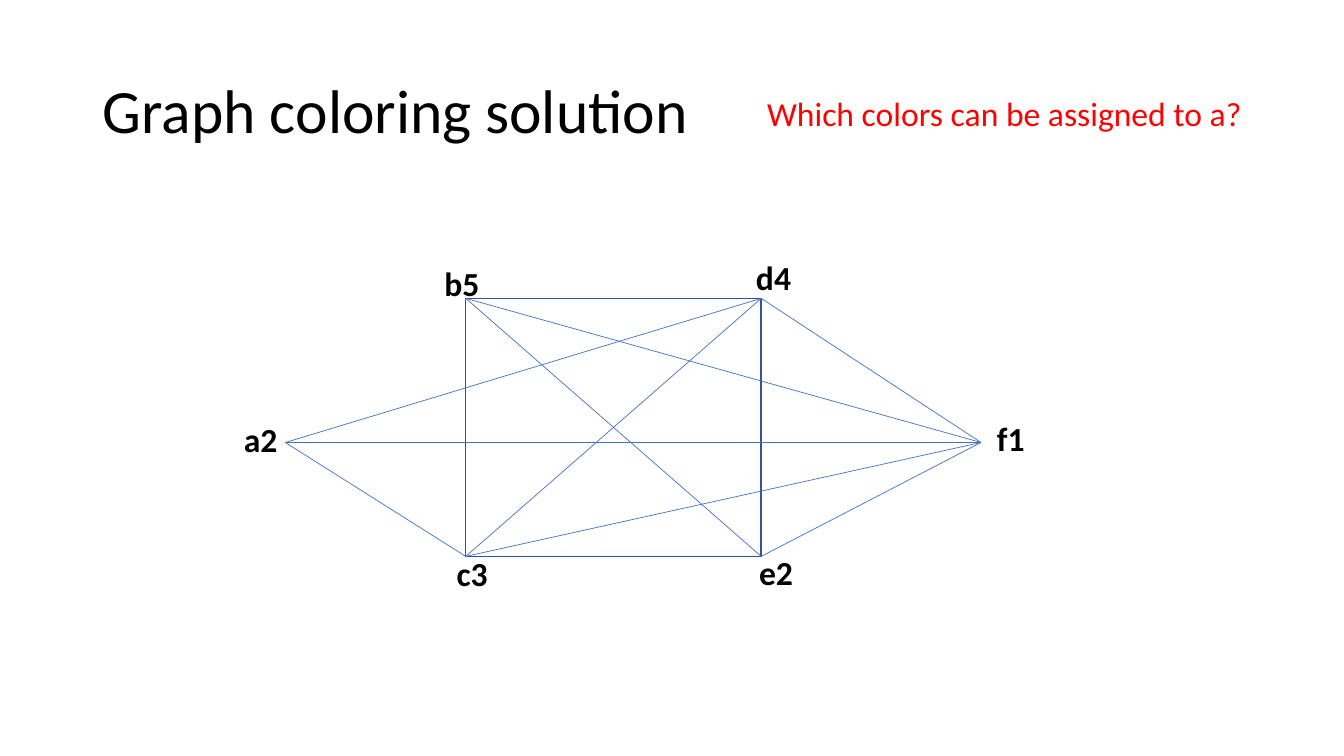
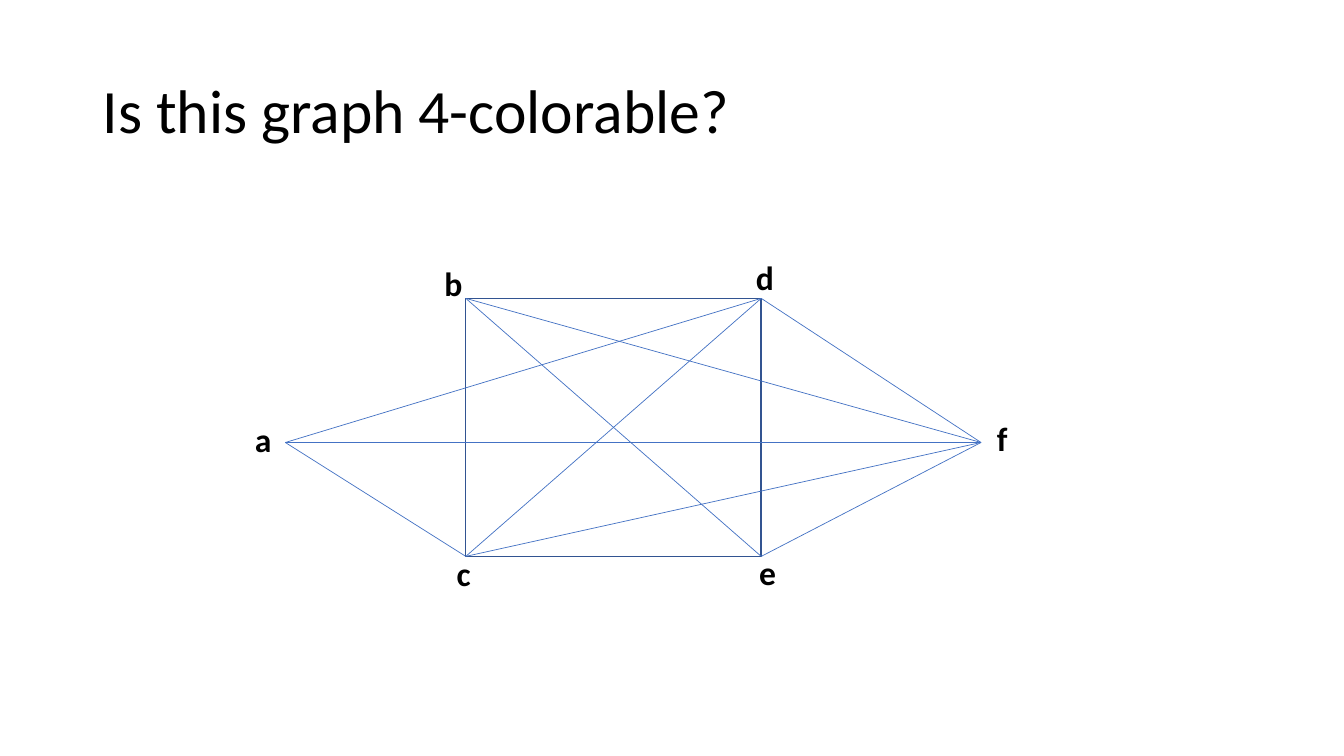
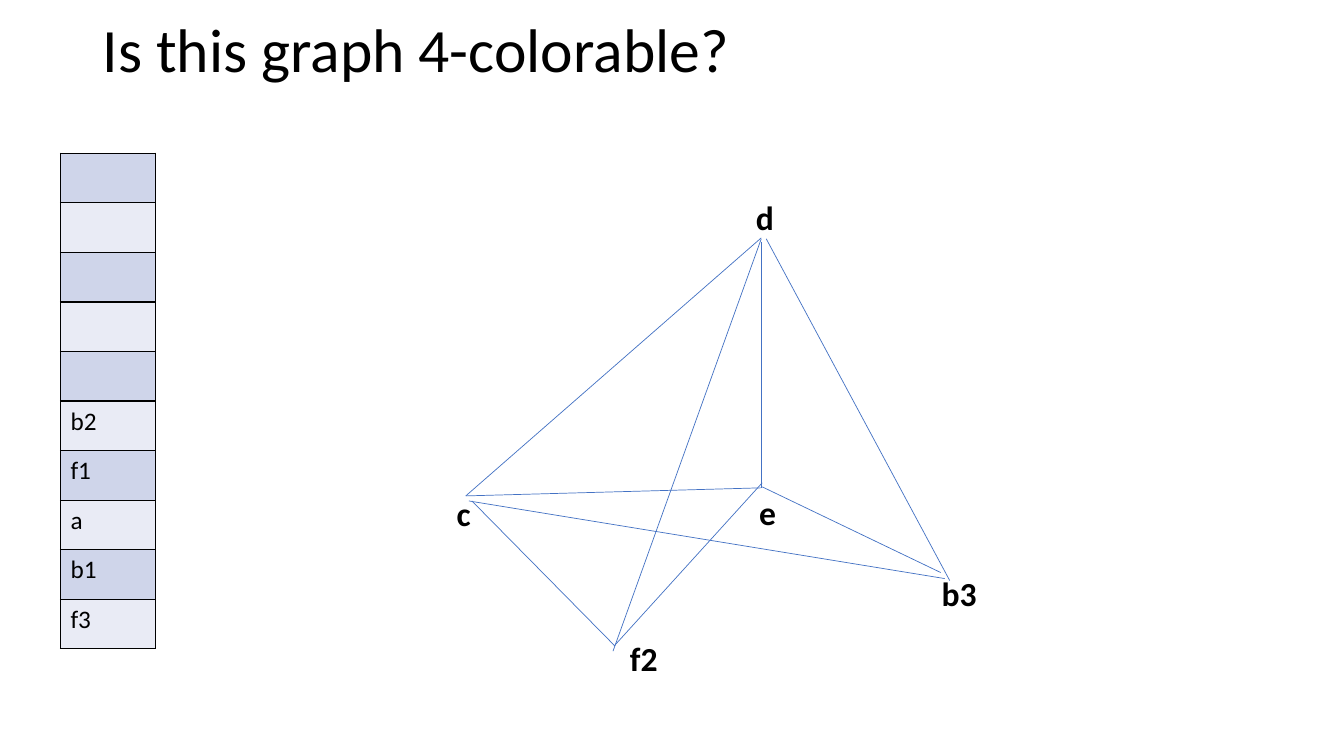
import pptx
import pptx.util
import pptx.dml.color
import pptx.enum.shapes
import pptx.enum.text
import pptx.oxml
import pptx.oxml.ns
from pptx.util import Inches

RGBColor = pptx.dml.color.RGBColor
BLACK = RGBColor(0x00, 0x00, 0x00)
RED = RGBColor(0xFF, 0x00, 0x00)
BLUE = RGBColor(0x44, 0x72, 0xC4)
NAVY = RGBColor(0x32, 0x54, 0x91)
BANDS = [RGBColor(0xCF, 0xD5, 0xEA), RGBColor(0xE9, 0xEB, 0xF5)]
FONT = "Calibri"
SPACE = pptx.oxml.ns.nsdecls("a")


def write(frame, text, size=24, bold=False, color=BLACK, space=1.0):
    para = frame.paragraphs[0]
    para.alignment = pptx.enum.text.PP_ALIGN.LEFT
    para.line_spacing = space
    run = para.add_run()
    run.text = text
    run.font.name = FONT
    run.font.size = pptx.util.Pt(size)
    run.font.bold = bold
    run.font.color.rgb = color


def label(slide, text, left, top, width=0.87, **style):
    box = slide.shapes.add_textbox(Inches(left), Inches(top), Inches(width), Inches(0.5))
    box.text_frame.word_wrap = True
    box.text_frame.auto_size = pptx.enum.text.MSO_AUTO_SIZE.SHAPE_TO_FIT_TEXT
    write(box.text_frame, text, **style)


deck = pptx.Presentation()
deck.slide_width = Inches(13.33)
deck.slide_height = Inches(7.5)

A, B, C = (2.83, 4.39), (4.62, 2.96), (4.62, 5.52)
D, E, F = (7.55, 2.96), (7.55, 5.52), (9.73, 4.39)
graph = [(D, F), (E, F), (C, F), (C, D), (B, E), (B, F), (A, D), (A, C), (A, F)]
rest = [
    ((4.62, 4.92), (7.55, 2.36)),
    ((7.55, 2.4), (7.55, 4.84)),
    ((4.62, 4.92), (7.55, 4.84)),
    ((7.56, 4.83), (9.33, 5.68)),
    ((4.65, 4.97), (9.37, 5.74)),
    ((7.6, 2.37), (9.42, 5.76)),
    ((7.55, 2.37), (6.08, 6.46)),
    ((4.68, 4.97), (6.1, 6.41)),
    ((7.56, 4.79), (6.09, 6.41)),
]
spots = [(4.31, 2.56), (7.4, 2.5), (9.79, 4.1), (7.43, 5.43), (4.43, 5.44)]
full = [(2.32, 4.11)] + spots
bare = [(2.43, 4.11)] + spots
last = [(7.4, 1.9), (7.43, 4.83), (4.43, 4.84), (9.24, 5.63), (6.15, 6.28)]

pages = [
    ("Graph coloring solution", 0.4, graph, "a2 b5 d4 f1 e2 c3", full),
    ("Is this graph 4-colorable?", 0.4, graph, "a b d f e c", bare),
    ("Is this graph 4-colorable?", -0.2, rest, "d e c b3 f2", last),
]

for head, top, edges, names, places in pages:
    slide = deck.slides.add_slide(deck.slide_layouts[5])
    title = slide.shapes.title
    title.left, title.top = Inches(0.92), Inches(top)
    title.width, title.height = Inches(11.5), Inches(1.45)
    title.text_frame.vertical_anchor = pptx.enum.text.MSO_ANCHOR.MIDDLE
    write(title.text_frame, head, size=44, space=0.9)

    if edges is graph:
        frame = slide.shapes.add_shape(
            pptx.enum.shapes.MSO_SHAPE.RECTANGLE,
            Inches(B[0]), Inches(B[1]), Inches(E[0] - B[0]), Inches(E[1] - B[1]))
        frame.shadow.inherit = False
        frame.fill.background()
        frame.line.color.rgb = NAVY
        frame.line.width = pptx.util.Pt(1)

    for start, end in edges:
        edge = slide.shapes.add_connector(
            pptx.enum.shapes.MSO_CONNECTOR.STRAIGHT,
            *(Inches(value) for value in start + end))
        edge.line.color.rgb = BLUE
        edge.line.width = pptx.util.Pt(0.5)
        edge._element.spPr.append(pptx.oxml.parse_xml(f"<a:effectLst {SPACE}/>"))

    for name, (left, high) in zip(names.split(), places):
        label(slide, name, left, high, bold=True)

label(deck.slides[0], "Which colors can be assigned to a?", 7.51, 0.87, width=5.3, color=RED)

stack = [""] * 5 + ["b2", "f1", "a", "b1", "f3"]
table = deck.slides[2].shapes.add_table(
    len(stack), 1, Inches(0.6), Inches(1.52), Inches(0.94), Inches(4.92)).table
table.first_row = False
table.horz_banding = False
for row, text in enumerate(stack):
    cell = table.cell(row, 0)
    props = cell._tc.get_or_add_tcPr()
    for side in "LRTB":
        props.append(pptx.oxml.parse_xml(
            f'<a:ln{side} {SPACE} w="12700"><a:solidFill>'
            f'<a:srgbClr val="{BLACK}"/></a:solidFill></a:ln{side}>'))
    cell.fill.solid()
    cell.fill.fore_color.rgb = BANDS[row % 2]
    if text:
        write(cell.text_frame, text, size=18)

deck.save("out.pptx")
